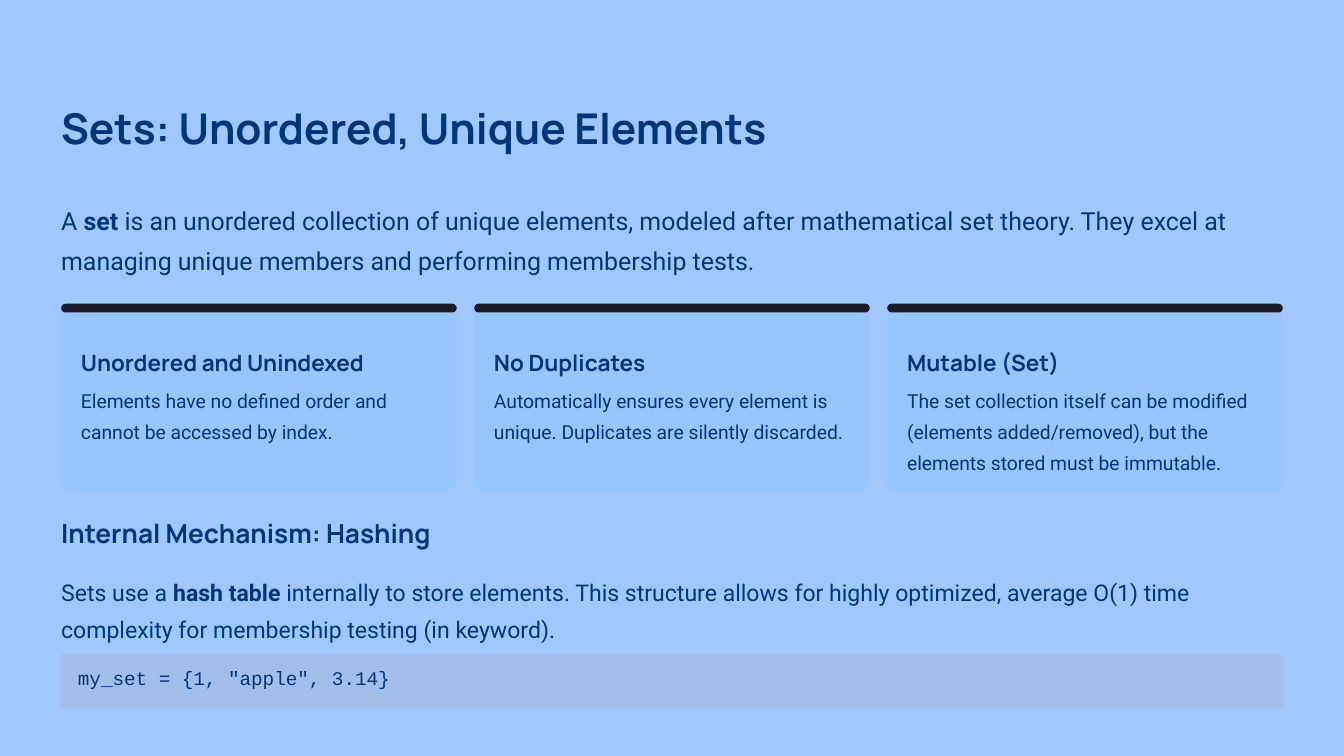
from lxml import etree
from pptx import Presentation
from pptx import util as u
from pptx.dml import color
from pptx.enum import shapes, text
from pptx.oxml import ns

COLORS = {
    "base": "ECECF3",
    "tint": "99C5FF",
    "ink": "00357A",
    "bar": "1B1B27",
    "code": "A2BEEB",
}
COLUMNS, ROWS = 200, 112.5
MARGIN, GAP = 9.1, 2.6
CONTENT = COLUMNS - 2 * MARGIN
CARDS = [
    ("Unordered and Unindexed",
     "Elements have no defined order and cannot be accessed by index."),
    ("No Duplicates",
     "Automatically ensures every element is unique. Duplicates are silently discarded."),
    ("Mutable (Set)",
     "The set collection itself can be modified (elements added/removed), "
     "but the elements stored must be immutable."),
]


class SlideBuilder:
    heading_font, body_font, code_font = "Manrope", "Roboto", "Courier New"

    def __init__(self, presentation):
        self.width = presentation.slide_width
        self.height = presentation.slide_height
        self.slide = presentation.slides.add_slide(presentation.slide_layouts[5])

    def box(self, left, top, width, height):
        return (int(self.width * left / COLUMNS), int(self.height * top / ROWS),
                int(self.width * width / COLUMNS), int(self.height * height / ROWS))

    def background(self, name):
        fill = self.slide.background.fill
        fill.solid()
        fill.fore_color.rgb = color.RGBColor.from_string(COLORS[name])

    def panel(self, area, name, radius=0, opacity=100):
        kind = shapes.MSO_SHAPE.ROUNDED_RECTANGLE if radius else shapes.MSO_SHAPE.RECTANGLE
        shape = self.slide.shapes.add_shape(kind, *self.box(*area))
        shape.shadow.inherit = False
        shape.line.fill.background()
        shape.fill.solid()
        shape.fill.fore_color.rgb = color.RGBColor.from_string(COLORS[name])
        if radius:
            shape.adjustments[0] = radius / min(area[2:])
        if opacity < 100:
            fill_color = shape._element.spPr.find(".//" + ns.qn("a:srgbClr"))
            etree.SubElement(fill_color, ns.qn("a:alpha"), val=str(opacity * 1000))

    def set_text(self, shape, runs, size, spacing, font, bold=False):
        frame = shape.text_frame
        frame.word_wrap = True
        frame.auto_size = text.MSO_AUTO_SIZE.NONE
        frame.vertical_anchor = text.MSO_ANCHOR.TOP
        frame.margin_left = frame.margin_right = frame.margin_top = frame.margin_bottom = 0
        paragraph = frame.paragraphs[0]
        paragraph.alignment = text.PP_ALIGN.LEFT
        paragraph.line_spacing = u.Pt(spacing)
        paragraph.space_before = u.Pt(0)
        for index, words in enumerate(runs):
            run = paragraph.add_run()
            run.text = words
            run.font.name = font
            run.font.size = u.Pt(size)
            run.font.bold = bold or index % 2 == 1
            run.font.color.rgb = color.RGBColor.from_string(COLORS["ink"])

    def title(self, area, words):
        shape = self.slide.shapes.title
        shape.left, shape.top, shape.width, shape.height = self.box(*area)
        self.set_text(shape, [words], 45.4, 56.8, self.heading_font, True)

    def heading(self, area, words, size, spacing):
        shape = self.slide.shapes.add_textbox(*self.box(*area))
        self.set_text(shape, [words], size, spacing, self.heading_font, True)

    def body(self, area, runs, size, spacing, font=None):
        shape = self.slide.shapes.add_textbox(*self.box(*area))
        self.set_text(shape, runs, size, spacing, font or self.body_font)

    def card(self, left, width, heading, words):
        self.panel((left, 45.5, width, 27.6), "tint", 1.5, 90)
        self.panel((left, 45.2, width, 1.3), "bar", 0.65)
        inner = left + 2.95
        self.heading((inner, 51.8, 49, 4.1), heading, 24.1, 30)
        self.body((inner, 56.7, 53, 13.5), [words], 20.7, 33.2)

    def code(self, area, words):
        left, top, width, height = area
        self.panel(area, "code", 0.4)
        self.body((left + 2.6, top + 0.6, width - 5.2, 4.8), [words],
                  20.7, 33.2, self.code_font)


def main():
    presentation = Presentation()
    presentation.slide_width = u.Inches(20)
    presentation.slide_height = u.Inches(11.25)
    builder = SlideBuilder(presentation)
    builder.background("base")
    builder.panel((0, 0, COLUMNS, ROWS), "tint", opacity=90)
    title_element = builder.slide.shapes.title._element
    title_element.getparent().append(title_element)
    builder.title((MARGIN, 14.9, 143.3, 7.8), "Sets: Unordered, Unique Elements")
    builder.body((MARGIN, 29.1, CONTENT, 11.6), [
        "A ", "set",
        " is an unordered collection of unique elements, modeled after mathematical set theory. "
        "They excel at managing unique members and performing membership tests."], 26.7, 42.8)

    card_width = (CONTENT - GAP * (len(CARDS) - 1)) / len(CARDS)
    for index, (heading, words) in enumerate(CARDS):
        builder.card(MARGIN + index * (card_width + GAP), card_width, heading, words)

    builder.heading((MARGIN, 76.8, 61.4, 4.8), "Internal Mechanism: Hashing", 28.1, 35)
    builder.body((MARGIN, 84.7, CONTENT, 10.6), [
        "Sets use a ", "hash table",
        " internally to store elements. This structure allows for highly optimized, "
        "average O(1) time complexity for membership testing (in keyword)."], 24.7, 39.6)
    builder.code((9, 97.3, 182, 8.1), 'my_set = {1, "apple", 3.14}')
    presentation.save("out.pptx")


if __name__ == "__main__":
    main()
